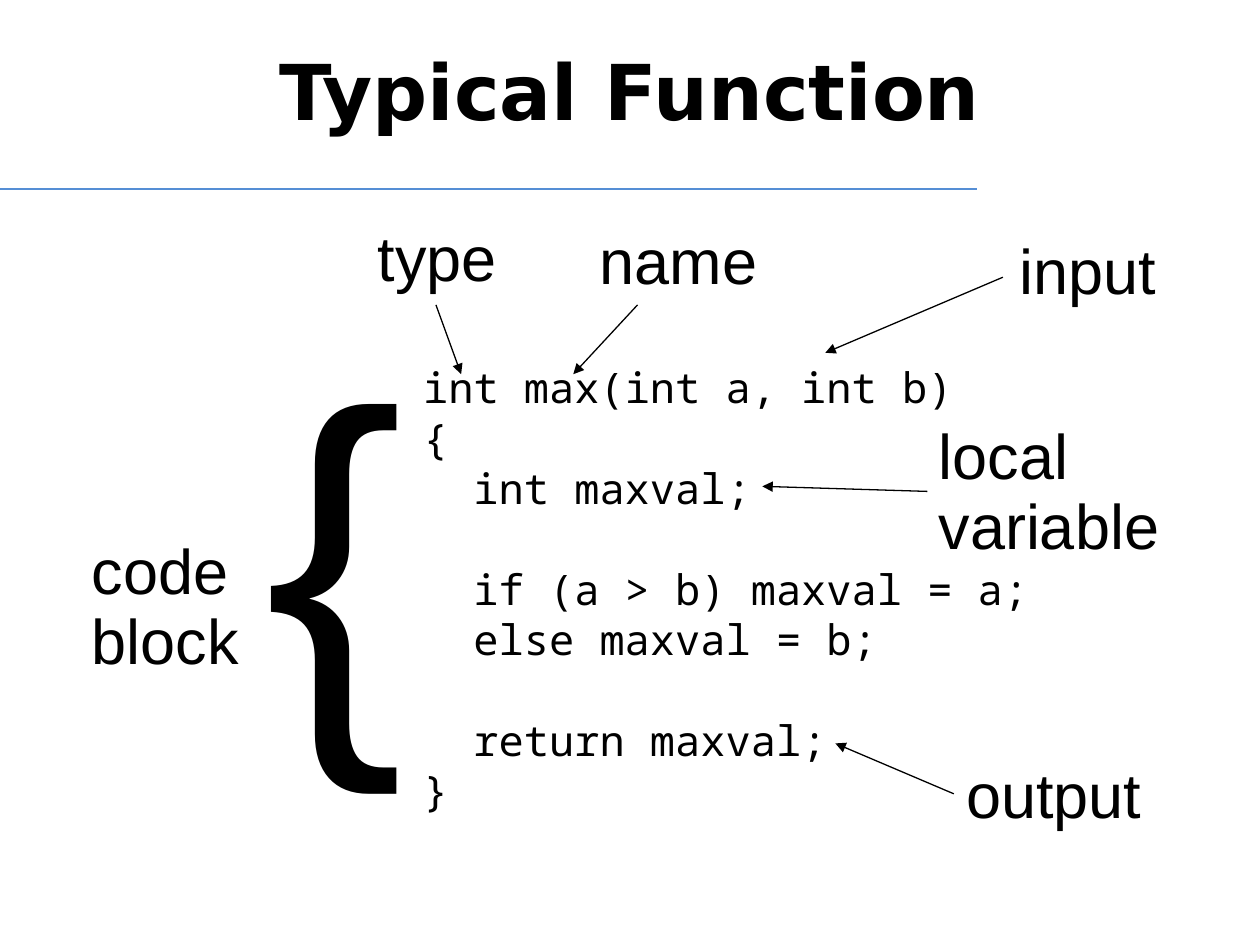
from dataclasses import dataclass

from lxml import etree
from pptx import Presentation
from pptx.dml.color import RGBColor
from pptx.enum.shapes import MSO_CONNECTOR
from pptx.enum.text import MSO_ANCHOR, PP_ALIGN
from pptx.oxml.ns import qn
from pptx.util import Inches, Pt

STRAIGHT = MSO_CONNECTOR.STRAIGHT
TOP = MSO_ANCHOR.TOP
CENTER = PP_ALIGN.CENTER

COLORS = {"ink": "000000", "rule": "558ED5"}
CODE_PITCH = Pt(28.8)
CODE_INDENT = Inches(0.4)


@dataclass(frozen=True)
class Label:
    lines: tuple[str, ...]
    left: float
    top: float
    width: float
    height: float
    size: int = 36


@dataclass(frozen=True)
class Line:
    start: tuple[float, float]
    end: tuple[float, float]
    color: str = "ink"
    arrow: bool = True


@dataclass(frozen=True)
class CodeLine:
    text: str
    indented: bool = True
    gap_before: bool = False


LABELS = (
    Label(("type",), 2.9, 1.74, 1.18, 0.66),
    Label(("name",), 4.66, 1.76, 1.48, 0.66),
    Label(("input",), 7.99, 1.84, 1.32, 0.66),
    Label(("local", "variable"), 7.35, 3.31, 1.98, 1.22),
    Label(("output",), 7.57, 6, 1.62, 0.66),
    Label(("code", "block"), 0.63, 4.22, 1.4, 1.22),
    Label(("{",), 2, 2.6, 1.31, 3.81, 239),
)

LINES = (
    Line((0, 1.5), (7.75, 1.5), "rule", False),
    Line((5.06, 2.42), (4.55, 2.97)),
    Line((3.46, 2.42), (3.66, 2.97)),
    Line((7.36, 3.9), (6.05, 3.86)),
    Line((7.96, 2.2), (6.55, 2.8)),
    Line((7.57, 6.3), (6.63, 5.9)),
)

CODE = (
    CodeLine("int max(int a, int b)", indented=False),
    CodeLine("{", indented=False),
    CodeLine("int maxval;"),
    CodeLine("if (a > b) maxval = a;", gap_before=True),
    CodeLine("else maxval = b;"),
    CodeLine("return maxval;", gap_before=True),
    CodeLine("}", indented=False),
)


def add_text(slide, lines: tuple[str, ...], box: tuple[float, ...], font_name: str,
             size: int, wrap: bool = True, inset_top: float = 0.05):
    frame = slide.shapes.add_textbox(*map(Inches, box)).text_frame
    frame.word_wrap = wrap
    frame.vertical_anchor = TOP
    frame.margin_top = Inches(inset_top)
    frame.text = "\n".join(lines)
    for paragraph in frame.paragraphs:
        paragraph.font.name = font_name
        paragraph.font.size = Pt(size)
        paragraph.font.color.rgb = RGBColor.from_string(COLORS["ink"])
    return frame.paragraphs


def add_label(slide, label: Label) -> None:
    box = (label.left, label.top, label.width, label.height)
    for paragraph in add_text(slide, label.lines, box, "Arial", label.size, wrap=False):
        paragraph.line_spacing = 0.93


def add_line(slide, line: Line) -> None:
    connector = slide.shapes.add_connector(
        STRAIGHT, *map(Inches, line.start + line.end))
    connector.line.color.rgb = RGBColor.from_string(COLORS[line.color])
    connector.line.width = Pt(0.75)
    if line.arrow:
        etree.SubElement(connector.line._get_or_add_ln(), qn("a:tailEnd"), type="triangle")
    etree.SubElement(connector._element.spPr, qn("a:effectLst"))


def add_title(slide) -> None:
    title = add_text(slide, ("Typical Function",), (0.5, 0.3, 9, 1.25),
                     "DejaVu Sans", 44)[0]
    title.alignment = CENTER
    title.font.bold = True


def add_code(slide) -> None:
    paragraphs = add_text(slide, tuple(line.text for line in CODE),
                          (3.26, 2.42, 5.8, 4.48), "Noto Sans Mono", 24, inset_top=0.45)
    for paragraph, line in zip(paragraphs, CODE):
        paragraph.line_spacing = CODE_PITCH
        if line.gap_before:
            paragraph.space_before = CODE_PITCH
        if line.indented:
            paragraph._p.get_or_add_pPr().set("marL", str(CODE_INDENT))


def main() -> None:
    presentation = Presentation()
    presentation.slide_width = Inches(10)
    presentation.slide_height = Inches(7.5)
    slide = presentation.slides.add_slide(presentation.slide_layouts[6])
    add_title(slide)
    add_code(slide)
    for line in LINES:
        add_line(slide, line)
    for label in LABELS:
        add_label(slide, label)
    presentation.save("out.pptx")


if __name__ == "__main__":
    main()
